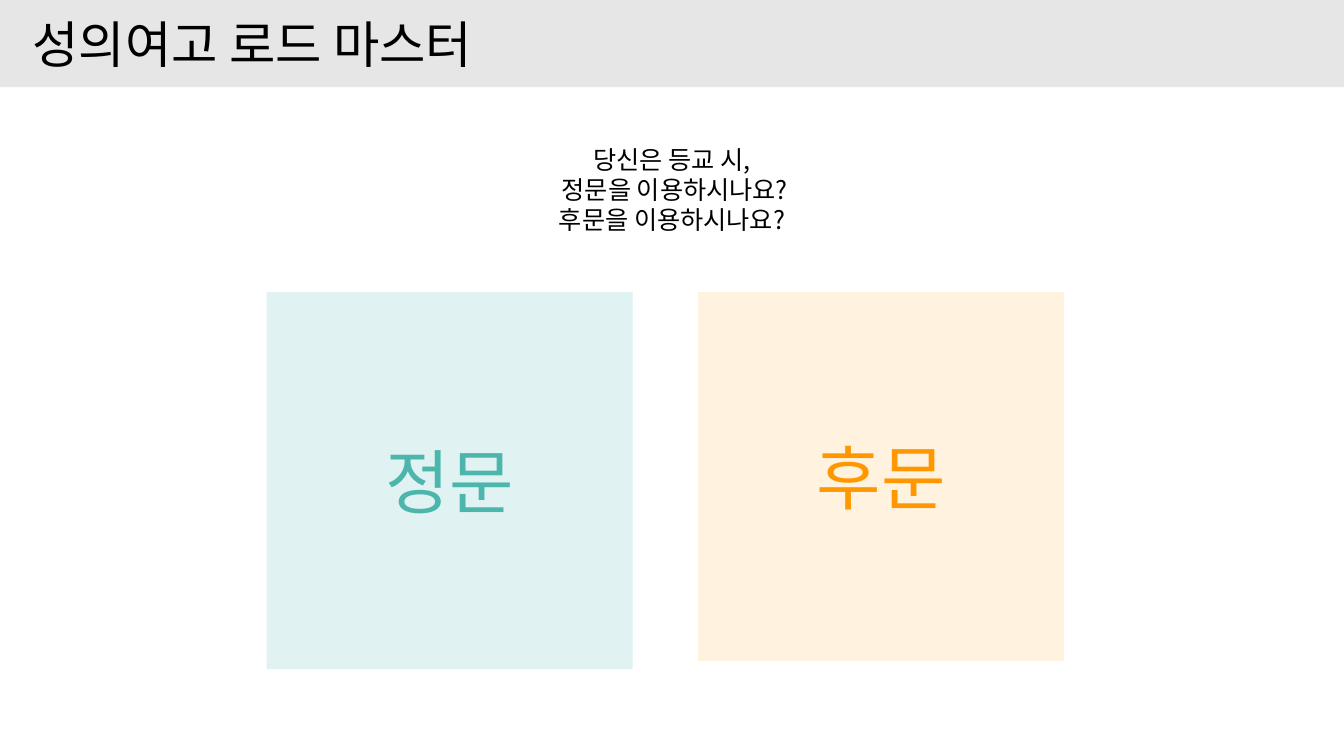
"""Build the school gate choice slide."""
from lxml import etree
from pptx import Presentation
from pptx import util as u
from pptx.dml.color import RGBColor
from pptx.enum import shapes, text
from pptx.oxml import ns

FONT = "Noto Sans CJK KR"
BLACK = RGBColor(0x00, 0x00, 0x00)
GREY = RGBColor(0xE7, 0xE6, 0xE6)
TEAL = RGBColor(0x4D, 0xB6, 0xAC)
PALE_TEAL = RGBColor(0xE0, 0xF2, 0xF1)
ORANGE = RGBColor(0xFF, 0x98, 0x00)
PALE_ORANGE = RGBColor(0xFF, 0xF3, 0xE0)


def write(box, words, size, color=BLACK, align=text.PP_ALIGN.CENTER,
          anchor=text.MSO_ANCHOR.MIDDLE):
    frame = box.text_frame
    frame.word_wrap = True
    frame.vertical_anchor = anchor
    frame.text = words
    for para in frame.paragraphs:
        para.alignment = align
        for span in para.runs:
            span.font.size = u.Pt(size)
            span.font.name = FONT
            span.font.color.rgb = color
            east_asian = etree.SubElement(span.font._element, ns.qn("a:ea"))
            east_asian.set("typeface", FONT)


def add_panel(page, left, top, width, height, fill):
    panel = page.shapes.add_shape(shapes.MSO_SHAPE.RECTANGLE, u.Pt(left),
                                  u.Pt(top), u.Pt(width), u.Pt(height))
    panel.shadow.inherit = False
    panel.fill.solid()
    panel.fill.fore_color.rgb = fill
    panel.line.fill.background()
    return panel


deck = Presentation()
deck.slide_width, deck.slide_height = u.Pt(960), u.Pt(540)
page = deck.slides.add_slide(deck.slide_layouts[6])

gates = [
    ("정문", 190.5, 269.3, PALE_TEAL, TEAL),
    ("후문", 498.7, 263.5, PALE_ORANGE, ORANGE),
]
for name, left, height, fill, color in gates:
    gate = add_panel(page, left, 208.7, 261.4, height, fill)
    write(gate, name, 50, color)

header = add_panel(page, 0, 0, 960, 62.3, GREY)
write(header, "성의여고 로드 마스터", 36, align=text.PP_ALIGN.LEFT)
header.text_frame.margin_left = u.Pt(23.2)

question = page.shapes.add_textbox(u.Pt(349.3), u.Pt(99.3), u.Pt(261.4), u.Pt(72.7))
write(question, "당신은 등교 시,\n 정문을 이용하시나요?\n후문을 이용하시나요?", 18,
      anchor=text.MSO_ANCHOR.TOP)
question.text_frame.auto_size = text.MSO_AUTO_SIZE.SHAPE_TO_FIT_TEXT

deck.save("out.pptx")
